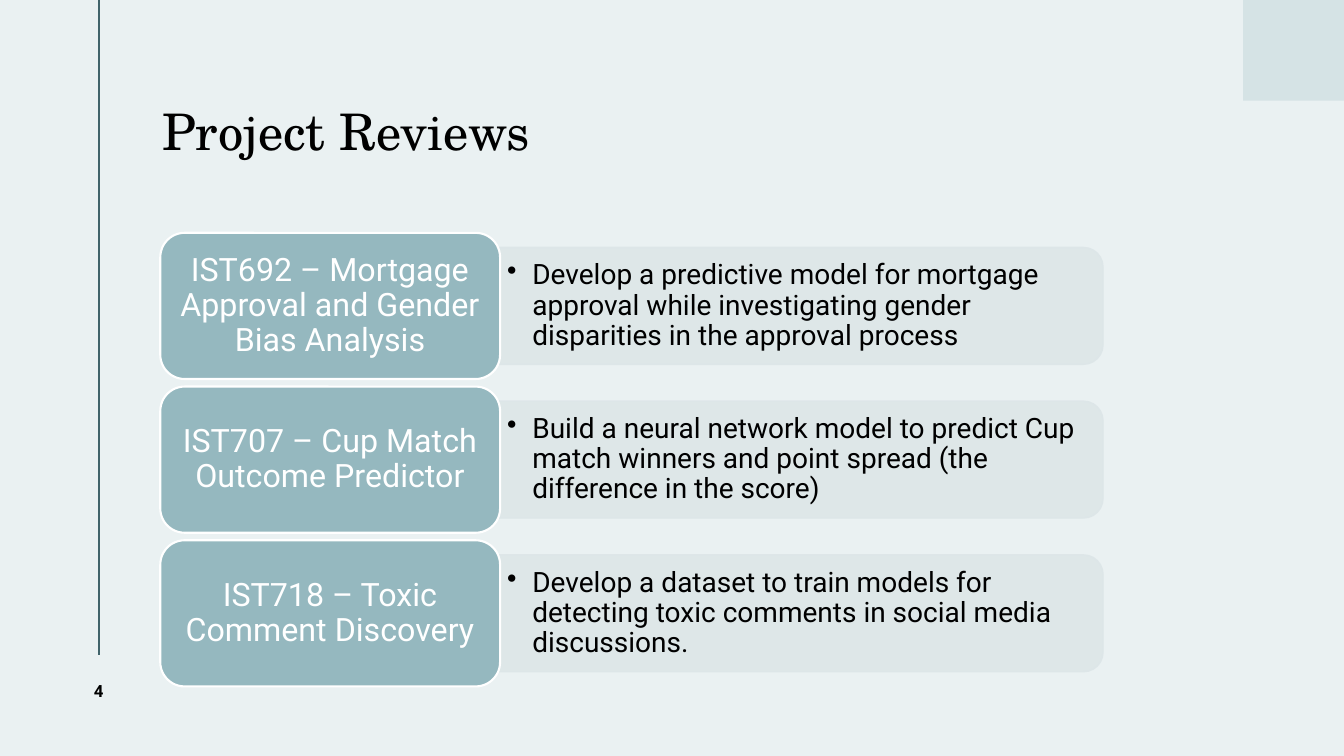
from dataclasses import dataclass

from lxml.etree import SubElement
from pptx import Presentation
from pptx.dml.color import RGBColor
from pptx.enum.shapes import MSO_CONNECTOR, MSO_SHAPE
from pptx.enum.text import MSO_ANCHOR, PP_ALIGN
from pptx.oxml.ns import qn
from pptx.shapes.autoshape import Shape
from pptx.slide import Slide
from pptx.util import Inches, Length, Pt

# The grid has square cells, 13.33 columns by 7.5 rows.
CELL = Inches(1)
COLUMNS, ROWS = 13.33, 7.5

PALE = RGBColor(0xEA, 0xF1, 0xF2)
CORNER = RGBColor(0xD5, 0xE3, 0xE5)
BAND = RGBColor(0xDD, 0xE6, 0xE8)
TEAL = RGBColor(0x95, 0xB8, 0xBF)
RULE = RGBColor(0x40, 0x63, 0x6A)
WHITE = RGBColor(0xFF, 0xFF, 0xFF)
BLACK = RGBColor(0, 0, 0)

FIRST_ROW, ROW_PITCH = 2.31, 1.525
LABEL_LEFT, LABEL_WIDTH, LABEL_HEIGHT = 1.59, 3.37, 1.45
BAND_LEFT, BAND_WIDTH, BAND_HEIGHT = 4.95, 5.99, 1.16
TEXT_WIDTH, TEXT_HEIGHT = 5.93, 1.05


@dataclass(frozen=True)
class Area:
    left: float
    top: float
    width: float
    height: float

    def lengths(self) -> list[Length]:
        return [cells(n) for n in (self.left, self.top, self.width, self.height)]


@dataclass(frozen=True)
class TextStyle:
    size: float
    color: RGBColor = BLACK
    font: str = "Roboto"
    align: PP_ALIGN = PP_ALIGN.LEFT
    insets: tuple[float, float, float, float] = (0.1, 0.05, 0.1, 0.05)
    line_spacing: float = 0.9
    bold: bool = False
    tracking: int = 0
    bullet: bool = False


@dataclass(frozen=True)
class Project:
    name: str
    goal: str


TITLE = TextStyle(36, font="TeX Gyre Schola", insets=(0, 0.05, 0.1, 0.05))
LABEL = TextStyle(23, WHITE, align=PP_ALIGN.CENTER)
GOAL = TextStyle(20, insets=(0.08, 0.04, 0.08, 0.04), bullet=True)
NUMBER = TextStyle(12, align=PP_ALIGN.CENTER, line_spacing=1, bold=True, tracking=150)

PROJECTS = [
    Project("IST692 – Mortgage Approval and Gender Bias Analysis",
            "Develop a predictive model for mortgage approval while investigating "
            "gender disparities in the approval process"),
    Project("IST707 – Cup Match Outcome Predictor",
            "Build a neural network model to predict Cup match winners and point "
            "spread (the difference in the score)"),
    Project("IST718 – Toxic Comment Discovery",
            "Develop a dataset to train models for detecting toxic comments in "
            "social media discussions."),
]


def cells(count: float) -> Length:
    return Length(round(count * CELL))


def write(box: Shape, text: str, style: TextStyle) -> None:
    frame = box.text_frame
    frame.word_wrap = True
    frame.vertical_anchor = MSO_ANCHOR.MIDDLE
    (frame.margin_left, frame.margin_top,
     frame.margin_right, frame.margin_bottom) = map(cells, style.insets)
    para = frame.paragraphs[0]
    para.alignment = style.align
    para.line_spacing = style.line_spacing
    if style.bullet:
        properties = para._p.get_or_add_pPr()
        properties.set("marL", str(cells(0.25)))
        properties.set("indent", str(cells(-0.25)))
        SubElement(properties, qn("a:buChar"), char="•")
    span = para.add_run()
    span.text = text
    span.font.size = Pt(style.size)
    span.font.name = style.font
    span.font.bold = style.bold
    span.font.color.rgb = style.color
    if style.tracking:
        span.font._element.set("spc", str(style.tracking))


def add_text(page: Slide, area: Area, text: str, style: TextStyle) -> None:
    write(page.shapes.add_textbox(*area.lengths()), text, style)


def add_block(page: Slide, kind: MSO_SHAPE, area: Area, fill: RGBColor) -> Shape:
    """Add a filled shape without outline or shadow."""
    block = page.shapes.add_shape(kind, *area.lengths())
    block.shadow.inherit = False
    block.fill.solid()
    block.fill.fore_color.rgb = fill
    block.line.fill.background()
    return block


def outline(block: Shape, color: RGBColor, width: float) -> None:
    block.line.color.rgb = color
    block.line.width = Pt(width)


def add_band(page: Slide, middle: float) -> None:
    """Add a band turned a quarter, so that its round corners face right."""
    center = BAND_LEFT + BAND_WIDTH / 2
    area = Area(center - BAND_HEIGHT / 2, middle - BAND_WIDTH / 2, BAND_HEIGHT, BAND_WIDTH)
    band = add_block(page, MSO_SHAPE.ROUND_2_SAME_RECTANGLE, area, BAND)
    band.rotation = 90
    outline(band, BAND, 1)
    for color in band._element.spPr.iter(qn("a:srgbClr")):
        SubElement(color, qn("a:alpha"), val="90000")


def add_project(page: Slide, project: Project, top: float) -> None:
    middle = top + LABEL_HEIGHT / 2
    add_band(page, middle)
    goal_area = Area(BAND_LEFT, middle - TEXT_HEIGHT / 2, TEXT_WIDTH, TEXT_HEIGHT)
    add_text(page, goal_area, project.goal, GOAL)
    label_area = Area(LABEL_LEFT, top, LABEL_WIDTH, LABEL_HEIGHT)
    label = add_block(page, MSO_SHAPE.ROUNDED_RECTANGLE, label_area, TEAL)
    outline(label, WHITE, 1.5)
    write(label, project.name, LABEL)


def add_margin_rule(page: Slide) -> None:
    rule = page.shapes.add_connector(
        MSO_CONNECTOR.STRAIGHT, cells(0.98), 0, cells(0.98), cells(ROWS - 1))
    rule.line.color.rgb = RULE
    rule.line.width = Pt(1.5)
    SubElement(rule._element.spPr, qn("a:effectLst"))


def main() -> None:
    deck = Presentation()
    deck.slide_width, deck.slide_height = cells(COLUMNS), cells(ROWS)
    page = deck.slides.add_slide(deck.slide_layouts[6])
    page.background.fill.solid()
    page.background.fill.fore_color.rgb = PALE

    add_margin_rule(page)
    add_block(page, MSO_SHAPE.RECTANGLE, Area(COLUMNS - 1, 0, 1, 1), CORNER)
    add_text(page, Area(1.61, 0.55, 10.01, 1.56), "Project Reviews", TITLE)
    for index, project in enumerate(PROJECTS):
        add_project(page, project, FIRST_ROW + index * ROW_PITCH)
    add_text(page, Area(0.45, 6.5, 1.06, 0.71), "4", NUMBER)
    deck.save("out.pptx")


if __name__ == "__main__":
    main()
